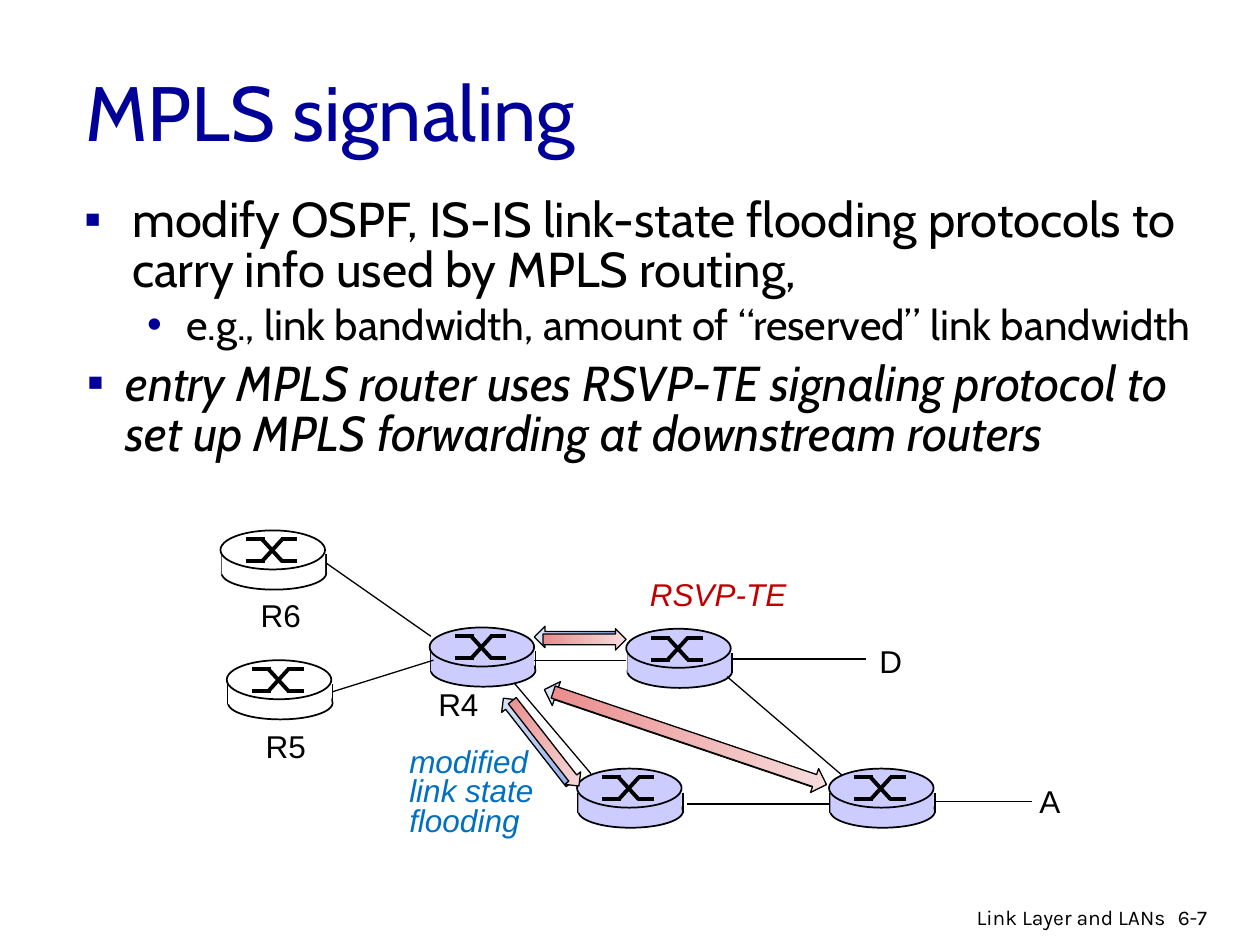
from dataclasses import dataclass

from lxml.etree import SubElement
from pptx import Presentation
from pptx.dml.color import RGBColor
from pptx.enum.shapes import MSO_CONNECTOR as Connector, MSO_SHAPE as Shape
from pptx.enum.text import MSO_ANCHOR as Anchor, PP_ALIGN as Align
from pptx.oxml.ns import qn
from pptx.util import Inches, Pt

# The slide is a grid of 100 columns by 75 rows
WIDTH, HEIGHT = Inches(10), Inches(7.5)
COLUMN, ROW = WIDTH / 100, HEIGHT / 75


@dataclass(frozen=True)
class Theme:
    heading: str = "Cabin"
    label: str = "Arial"
    footer: str = "Karla"
    accent: str = "000099"
    ink: str = "000000"
    core: str = "CCCCFF"
    edge: str = "FFFFFF"
    flooding: str = "0070C0"
    signaling: str = "C00000"
    blue_fade: tuple = ("8CADEA", "DEE6F7")
    red_fade: tuple = ("EA8C8C", "F7DEDE")
    title_size: int = 44
    body_size: int = 28
    detail_size: int = 24
    label_size: int = 18
    footer_size: int = 12
    link: float = 0.75
    outline: float = 1
    cross: float = 2.25


THEME = Theme()


def color(code):
    return RGBColor.from_string(code)


def place(left, top, width, height):
    return [round(n) for n in (left * COLUMN, top * ROW, width * COLUMN, height * ROW)]


def add_line(slide, start, end, weight):
    ends = place(*start, *end)
    line = slide.shapes.add_connector(Connector.STRAIGHT, *ends)
    line.line.color.rgb = color(THEME.ink)
    line.line.width = Pt(weight)
    SubElement(line._element.spPr, qn("a:effectLst"))


def add_solid(slide, kind, box, fill, outlined=True):
    shape = slide.shapes.add_shape(kind, *place(*box))
    shape.shadow.inherit = False
    shape.fill.solid()
    shape.fill.fore_color.rgb = color(fill)
    if outlined:
        shape.line.color.rgb = color(THEME.ink)
        shape.line.width = Pt(THEME.outline)
    else:
        shape.line.fill.background()


def add_frame(slide, box, wrap=True, anchor=Anchor.TOP):
    frame = slide.shapes.add_textbox(*place(*box)).text_frame
    frame.word_wrap = wrap
    frame.vertical_anchor = anchor
    return frame


def style(paragraph, font, size, ink=THEME.ink, italic=False):
    paragraph.font.name = font
    paragraph.font.size = Pt(size)
    paragraph.font.color.rgb = color(ink)
    paragraph.font.italic = italic


def add_bullet(paragraph, symbol, margin, hanging):
    properties = paragraph._p.get_or_add_pPr()
    properties.set("marL", str(round(margin * COLUMN)))
    properties.set("indent", str(-round(hanging * COLUMN)))
    tint = SubElement(properties, qn("a:buClr"))
    SubElement(tint, qn("a:srgbClr"), val=THEME.accent)
    SubElement(properties, qn("a:buFont"), typeface=THEME.label)
    SubElement(properties, qn("a:buChar"), char=symbol)


def add_title(slide, box, text):
    paragraph = add_frame(slide, box, anchor=Anchor.MIDDLE).paragraphs[0]
    paragraph.text = text
    style(paragraph, THEME.heading, THEME.title_size, THEME.accent)


def add_body(slide, box, items):
    """Each item is text, level, symbol, margin, hanging, size, italic."""
    frame = add_frame(slide, box)
    for index, (text, level, symbol, margin, hanging, size, italic) in enumerate(items):
        paragraph = frame.add_paragraph() if index else frame.paragraphs[0]
        paragraph.text = text
        paragraph.level = level
        add_bullet(paragraph, symbol, margin, hanging)
        paragraph.line_spacing = 0.85
        paragraph.space_before = Pt(size * 0.2 if index else 0)
        style(paragraph, THEME.heading, size, italic=italic)


def add_label(slide, box, lines, ink=THEME.ink, italic=False, spacing=None):
    frame = add_frame(slide, box, wrap=False)
    for index, text in enumerate(lines):
        paragraph = frame.add_paragraph() if index else frame.paragraphs[0]
        paragraph.text = text
        if spacing:
            paragraph.line_spacing = Pt(spacing)
        style(paragraph, THEME.label, THEME.label_size, ink, italic)


def add_router(slide, left, top, fill):
    # Drum: base, sides, body and lid
    add_solid(slide, Shape.OVAL, (left + 0.1, top + 2.1, 8.3, 2.6), fill)
    for side in (left + 0.1, left + 8.4):
        add_line(slide, (side, top + 1.9), (side, top + 3.5), THEME.outline)
    add_solid(slide, Shape.RECTANGLE, (left + 0.1, top + 1.9, 8.2, 1.6), fill, False)
    add_solid(slide, Shape.OVAL, (left, top, 8.3, 3.1), fill)
    # Crossed paths on the lid
    upper, lower = top + 0.7, top + 2.45
    for begin, end in ((upper, lower), (lower, upper)):
        for x1, y1, x2, y2 in ((2, begin, 3.5, begin), (3.3, begin, 4.9, end),
                               (4.8, end, 6.1, end)):
            add_line(slide, (left + x1, y1), (left + x2, y2), THEME.cross)


def add_arrow(slide, box, rotation, fade):
    arrow = slide.shapes.add_shape(Shape.RIGHT_ARROW, *place(*box))
    arrow.rotation = rotation
    arrow.shadow.inherit = False
    arrow.fill.gradient()
    arrow.fill.gradient_angle = 0
    for position, (stop, tint) in enumerate(zip(arrow.fill.gradient_stops, fade)):
        stop.position = position
        stop.color.rgb = color(tint)
    arrow.line.color.rgb = color(THEME.ink)
    arrow.line.width = Pt(THEME.link)


def add_network(slide, left, top):
    # Routers
    for x, y, fill in ((48.3, 18.9, THEME.core), (28.3, 18.9, THEME.core),
                       (32.2, 7.8, THEME.core), (16.6, 7.7, THEME.core),
                       (0, 0, THEME.edge), (0.5, 10.3, THEME.edge)):
        add_router(slide, left + x, top + y, fill)
    # Links
    for x1, y1, x2, y2 in ((8.4, 2.6, 16.7, 8.4), (8.9, 12.8, 16.9, 10.3),
                           (24.9, 10.3, 32.2, 10.3), (23.3, 12.1, 29.4, 19.3),
                           (37, 21.7, 48.4, 21.7), (40.2, 11.6, 49.3, 19.4),
                           (56.7, 21.5, 64.4, 21.5), (40.6, 10.2, 51.2, 10.2)):
        add_line(slide, (left + x1, top + y1), (left + x2, top + y2), THEME.link)
    # Router and destination names
    for name, x, y, width in (("R6", 2.2, 4.7, 5.2), ("R5", 2.6, 15.1, 5.2),
                              ("R4", 16.3, 11.8, 5.2), ("D", 51.3, 8.4, 3.8),
                              ("A", 64, 19.5, 3.7)):
        add_label(slide, (left + x, top + y, width, 4), [name])
    # Flooding arrows lie just behind the signaling arrows, pointing back
    for shift_x, shift_y, turn, fade in ((-0.7, -0.2, 180, THEME.blue_fade),
                                         (0, 0, 0, THEME.red_fade)):
        for x, y, width, height, angle in ((25.6, 7.8, 6.6, 1.7, 0),
                                           (21.5, 16.1, 8.6, 1.6, 52),
                                           (25.8, 15.5, 22.9, 2, 18.7)):
            box = (left + x + shift_x, top + y + shift_y, width, height)
            add_arrow(slide, box, angle + turn, fade)
    # Names of the two exchanges
    add_label(slide, (left + 14, top + 16.9, 12.7, 8.2),
              ["modified", "link state", "flooding"], THEME.flooding, True, 17)
    add_label(slide, (left + 33.1, top + 3.7, 13, 3.4), ["RSVP-TE"],
              THEME.signaling, True, 17)


def add_footer(slide, left, top):
    for text, x, width, align in (("Link Layer and LANs", 0, 23.8, Align.RIGHT),
                                  ("6-7", 22.8, 6, Align.LEFT)):
        paragraph = add_frame(slide, (left + x, top, width, 2.8)).paragraphs[0]
        paragraph.text = text
        paragraph.alignment = align
        style(paragraph, THEME.footer, THEME.footer_size)


def main():
    presentation = Presentation()
    presentation.slide_width, presentation.slide_height = WIDTH, HEIGHT
    slide = presentation.slides.add_slide(presentation.slide_layouts[6])
    add_title(slide, (5.8, 2.5, 85, 12.5), "MPLS signaling")
    add_body(slide, (5.7, 15.2, 91.2, 14.8), [
        ("modify OSPF, IS-IS link-state flooding protocols to carry info used by "
         "MPLS routing,", 0, "▪", 3.8, 3.8, THEME.body_size, False),
        ("e.g., link bandwidth, amount of “reserved” link bandwidth",
         1, "•", 8.1, 3.1, THEME.detail_size, False)])
    add_body(slide, (5.9, 28.2, 91.2, 11.6), [
        ("entry MPLS router uses RSVP-TE signaling protocol to set up MPLS "
         "forwarding at downstream routers", 0, "▪", 3.1, 3.1, THEME.body_size, True)])
    add_network(slide, 17.5, 42.1)
    add_footer(slide, 69.7, 71.3)
    presentation.save("out.pptx")


if __name__ == "__main__":
    main()
